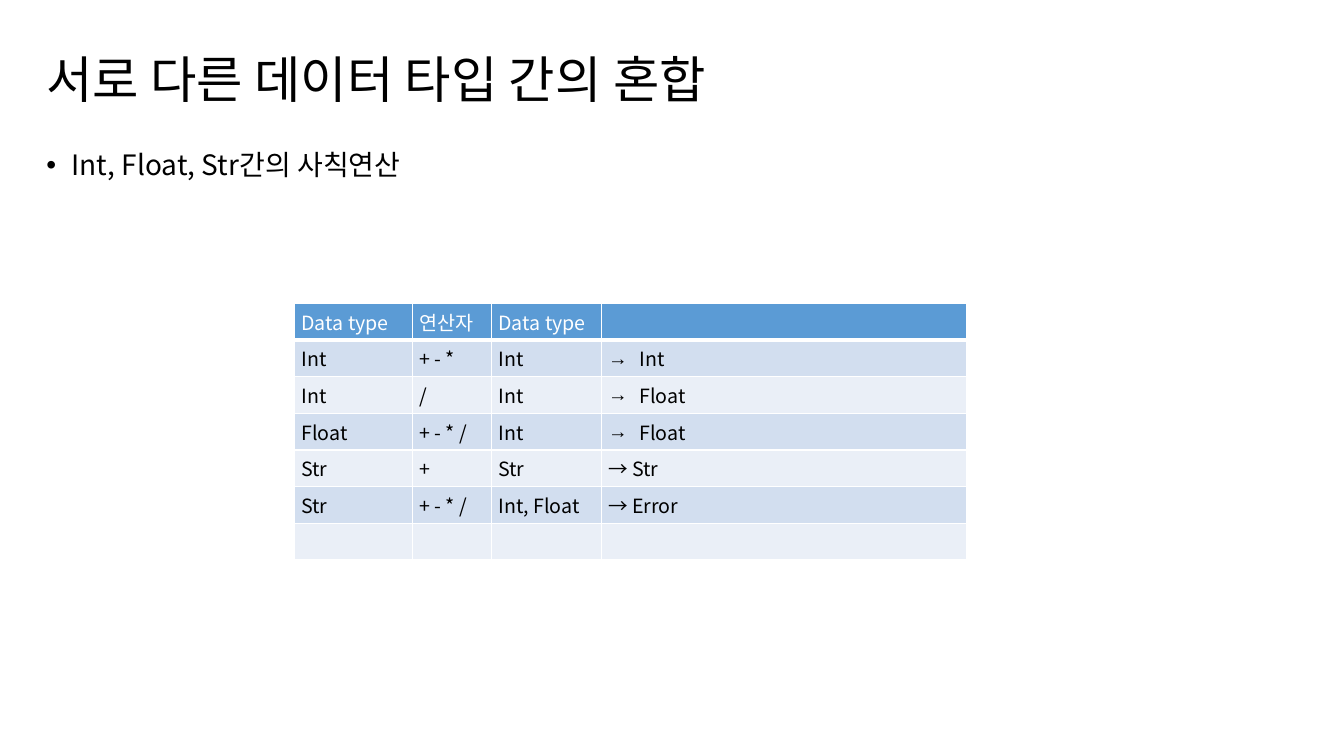
from lxml import etree
from pptx import Presentation, util as u
from pptx.dml.color import RGBColor
from pptx.enum import text
from pptx.oxml import ns

COLORS = {
    "ink": "000000",
    "paper": "FFFFFF",
    "header": "5B9BD5",
    "band_dark": "D2DEEF",
    "band_light": "EAEFF7",
}
FONT = "Noto Sans CJK KR"
ARROW = "→"

TITLE = "서로 다른 데이터 타입 간의 혼합"
TOPIC = "Int, Float, Str간의 사칙연산"
HEADINGS = ["Data type", "연산자", "Data type", ""]
OPERATIONS = [
    ["Int", "+ - *", "Int", "Int"],
    ["Int", "/", "Int", "Float"],
    ["Float", "+ - * /", "Int", "Float"],
    ["Str", "+", "Str", "→ Str"],
    ["Str", "+ - * /", "Int, Float", "→ Error"],
    ["", "", "", ""],
]
ARROW_ROWS = (1, 2, 3)
RESULT_COLUMN = 3


class SlideBuilder:
    def __init__(self):
        self.deck = Presentation()
        self.deck.slide_width = u.Inches(13.33)
        self.deck.slide_height = u.Inches(7.5)
        self.slide = self.deck.slides.add_slide(self.deck.slide_layouts[1])

    def across(self, percent):
        return round(self.deck.slide_width * percent / 100)

    def down(self, percent):
        return round(self.deck.slide_height * percent / 100)

    def place(self, placeholder, left, top, width, height):
        placeholder.left, placeholder.top = self.across(left), self.down(top)
        placeholder.width, placeholder.height = self.across(width), self.down(height)

    def add_typefaces(self, properties):
        for tag in ("a:latin", "a:ea"):
            etree.SubElement(properties, ns.qn(tag), typeface=FONT)

    def set_words(self, paragraph, words, size, color="ink"):
        paragraph.text = words
        paragraph.alignment = text.PP_ALIGN.LEFT
        for run in paragraph.runs:
            run.font.size = u.Pt(size)
            run.font.bold = False
            run.font.color.rgb = RGBColor.from_string(COLORS[color])
            self.add_typefaces(run._r.get_or_add_rPr())
        if not words:
            ending = etree.SubElement(paragraph._p, ns.qn("a:endParaRPr"), sz=str(size * 100))
            self.add_typefaces(ending)

    def bullet(self, paragraph, mark, indent):
        properties = paragraph._p.get_or_add_pPr()
        properties.set("marL", str(u.Inches(indent)))
        properties.set("indent", str(-u.Inches(indent)))
        etree.SubElement(properties, ns.qn("a:buFont"), typeface="Arial")
        etree.SubElement(properties, ns.qn("a:buChar"), char=mark)

    def title(self, words, *area):
        heading = self.slide.shapes.title
        self.place(heading, *area)
        heading.text_frame.vertical_anchor = text.MSO_ANCHOR.MIDDLE
        paragraph = heading.text_frame.paragraphs[0]
        self.set_words(paragraph, words, 36)
        paragraph.line_spacing = 0.9

    def body(self, words, *area):
        topics = self.slide.placeholders[1]
        self.place(topics, *area)
        paragraph = topics.text_frame.paragraphs[0]
        self.set_words(paragraph, words, 20)
        paragraph.line_spacing = 0.9
        paragraph.space_before = u.Pt(10)
        self.bullet(paragraph, "•", 0.25)

    def borders(self, cell, bottom):
        properties = cell._tc.get_or_add_tcPr()
        widths = {"lnL": 1, "lnR": 1, "lnT": 1, "lnB": bottom}
        for position, (side, width) in enumerate(widths.items()):
            line = etree.Element(ns.qn(f"a:{side}"), w=str(u.Pt(width)))
            fill = etree.SubElement(line, ns.qn("a:solidFill"))
            etree.SubElement(fill, ns.qn("a:srgbClr"), val=COLORS["paper"])
            properties.insert(position, line)

    def cell(self, cell, words, row, column):
        header = row == 0
        band = "header" if header else "band_dark" if row % 2 else "band_light"
        cell.margin_left = cell.margin_right = u.Inches(0.07)
        cell.margin_top = cell.margin_bottom = u.Inches(0.04)
        cell.fill.solid()
        cell.fill.fore_color.rgb = RGBColor.from_string(COLORS[band])
        self.borders(cell, 3 if header else 1)
        paragraph = cell.text_frame.paragraphs[0]
        self.set_words(paragraph, words, 14, "paper" if header else "ink")
        if column == RESULT_COLUMN and row in ARROW_ROWS:
            self.bullet(paragraph, ARROW, 0.31)

    def table(self, rows, left, top, widths, row_height):
        grid = self.slide.shapes.add_table(
            len(rows), len(widths), self.across(left), self.down(top),
            self.across(sum(widths)), self.down(row_height * len(rows))).table
        for column, width in zip(grid.columns, widths):
            column.width = self.across(width)
        for r, entries in enumerate(rows):
            grid.rows[r].height = self.down(row_height)
            for c, words in enumerate(entries):
                self.cell(grid.cell(r, c), words, r, c)


def main():
    builder = SlideBuilder()
    builder.title(TITLE, 2.7, 5.33, 94.65, 11.2)
    builder.body(TOPIC, 2.7, 19.33, 94.65, 70.8)
    builder.table([HEADINGS] + OPERATIONS, 21.9, 40.13, [8.78, 5.88, 8.18, 27.15], 4.1)
    builder.deck.save("out.pptx")


if __name__ == "__main__":
    main()
